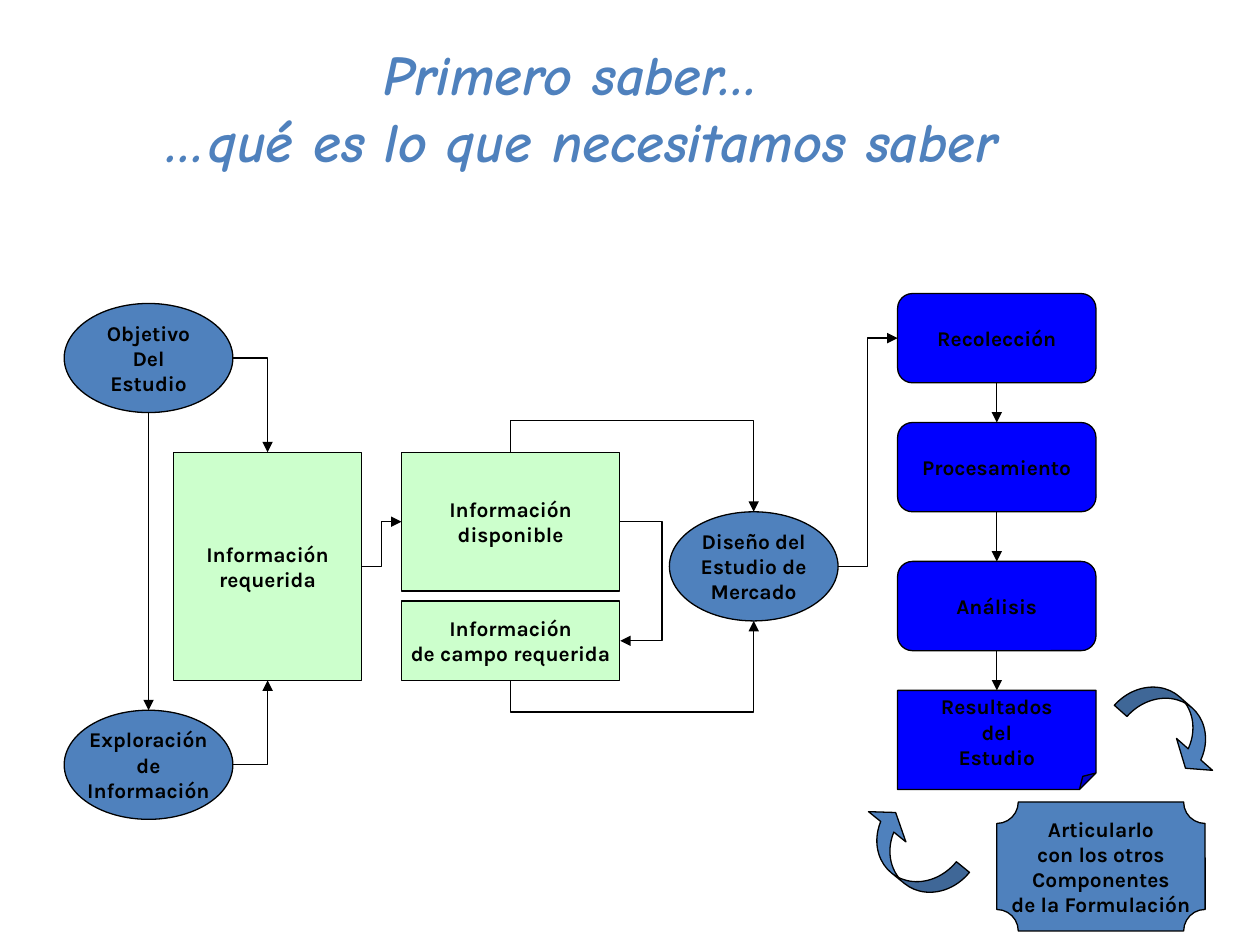
from pptx import Presentation
from pptx.dml.color import RGBColor
from pptx.enum.shapes import MSO_CONNECTOR, MSO_SHAPE
from pptx.enum.text import MSO_ANCHOR, MSO_AUTO_SIZE, PP_ALIGN
from pptx.oxml import parse_xml
from pptx.oxml.ns import nsdecls, qn
from pptx.util import Cm, Inches, Pt

OVAL, RECT, ROUND = MSO_SHAPE.OVAL, MSO_SHAPE.RECTANGLE, MSO_SHAPE.ROUNDED_RECTANGLE
FOLD, PLAQUE, CURVE = MSO_SHAPE.FOLDED_CORNER, MSO_SHAPE.PLAQUE, MSO_SHAPE.CURVED_LEFT_ARROW
LINE, ELBOW = MSO_CONNECTOR.STRAIGHT, MSO_CONNECTOR.ELBOW
TOP, MIDDLE, CENTER = MSO_ANCHOR.TOP, MSO_ANCHOR.MIDDLE, PP_ALIGN.CENTER
GROW, FIXED = MSO_AUTO_SIZE.SHAPE_TO_FIT_TEXT, MSO_AUTO_SIZE.NONE

THEME = dict(blue="4F81BD", mint="CCFFCC", pure="0000FF", ink="000000",
             head="Comic Neue", body="Karla", large=32, small=12, rule=0.75)
UNIT = Cm(0.2)
LEFT, UPPER = Inches(0.51), Inches(2.33)

TITLE = "Primero saber… \v…qué es lo que necesitamos saber"
NODES = {
    "explore": (OVAL, "blue", (0, 42, 17, 11), ["Exploración", "de", "Información"]),
    "goal": (OVAL, "blue", (0, 1, 17, 11), ["Objetivo", "Del", "Estudio"]),
    "need": (RECT, "mint", (11, 16, 19, 23), ["Información", "requerida"]),
    "have": (RECT, "mint", (34, 16, 22, 14), ["Información", "disponible"]),
    "field": (RECT, "mint", (34, 31, 22, 8), ["Información", "de campo requerida"]),
    "design": (OVAL, "blue", (61, 22, 17, 11), ["Diseño del", "Estudio de", "Mercado"]),
    "collect": (ROUND, "pure", (84, 0, 20, 9), ["Recolección"]),
    "process": (ROUND, "pure", (84, 13, 20, 9), ["Procesamiento"]),
    "study": (ROUND, "pure", (84, 27, 20, 9), ["Análisis"]),
    "result": (FOLD, "pure", (84, 40, 20, 10), ["Resultados", "del", "Estudio"]),
    "link": (PLAQUE, "blue", (94, 51.25, 21, 13),
             ["Articularlo", "con los otros", "Componentes", "de la Formulación"]),
}
CHAIN = ["collect", "process", "study", "result"]
BENDS = [
    ("explore", "right", "need", "bottom", dict(form=2)),
    ("goal", "right", "need", "top", dict(form=2)),
    ("need", "right", "have", "left", {}),
    ("have", "right", "field", "right", dict(reach=4.3)),
    ("field", "bottom", "design", "bottom", dict(turn=90, reach=-3.2)),
    ("have", "top", "design", "top", dict(turn=270, reach=-3.2)),
    ("design", "right", "collect", "left", {}),
]
CURVES = [((109.5, 37.6, 5, 12), 311.5), ((82.5, 50.5, 5, 12), 129)]
SIDES = dict(top=(0.5, 0), left=(0, 0.5), bottom=(0.5, 1), right=(1, 0.5))


def tint(name):
    return RGBColor.from_string(THEME[name])


def write(frame, lines, font="body", size="small", color="ink", italic=False,
          anchor=MIDDLE, wrap=False, fit=FIXED):
    frame.word_wrap, frame.auto_size, frame.vertical_anchor = wrap, fit, anchor
    frame.text = "\n".join(lines)
    for para in frame.paragraphs:
        para.alignment = CENTER
        face = para.font
        face.name, face.size = THEME[font], Pt(THEME[size])
        face.bold, face.italic, face.color.rgb = True, italic, tint(color)


def place(x, y):
    return round(LEFT + x * UNIT), round(UPPER + y * UNIT)


def draw(slide, kind, fill, cell):
    x, y, w, h = cell
    shape = slide.shapes.add_shape(kind, *place(x, y), round(w * UNIT), round(h * UNIT))
    shape.shadow.inherit = False
    shape.fill.solid()
    shape.fill.fore_color.rgb = tint(fill)
    shape.line.color.rgb, shape.line.width = tint("ink"), Pt(THEME["rule"])
    return shape


def arrow(slide, kind, start, end):
    wire = slide.shapes.add_connector(kind, *place(*start), *place(*end))
    wire.line.color.rgb, wire.line.width = tint("ink"), Pt(THEME["rule"])
    wire.line._get_or_add_ln().append(parse_xml(f'<a:tailEnd {nsdecls("a")} type="triangle"/>'))
    wire._element.spPr.append(parse_xml(f'<a:effectLst {nsdecls("a")}/>'))
    return wire


def spot(name, side):
    x, y, w, h = NODES[name][2]
    across, down = SIDES[side]
    return x + w * across, y + h * down


def bend(slide, start, end, form=3, turn=0, reach=None):
    mid = [(a + b) / 2 for a, b in zip(start, end)]
    dx, dy = [(b - a) / 2 for a, b in zip(start, end)]
    dx = dx or 0.05
    dx, dy = {0: (dx, dy), 90: (dy, -dx), 270: (-dy, dx)}[turn]
    wire = arrow(slide, ELBOW, (mid[0] - dx, mid[1] - dy), (mid[0] + dx, mid[1] + dy))
    props = wire._element.spPr
    if turn:
        props.find(qn("a:xfrm")).set("rot", str(turn * 60000))
    shape = props.find(qn("a:prstGeom"))
    shape.set("prst", f"bentConnector{form}")
    if reach:
        part = round(reach / abs(2 * dx) * 100000)
        shape.find(qn("a:avLst")).append(
            parse_xml(f'<a:gd {nsdecls("a")} name="adj1" fmla="val {part}"/>'))


def main():
    """Build the market study flow slide."""
    deck = Presentation()
    deck.slide_width, deck.slide_height = Inches(10), Inches(7.5)
    slide = deck.slides.add_slide(deck.slide_layouts[5])
    title = slide.shapes.title
    title.left, title.top = Inches(-0.76), Inches(0.26)
    title.width, title.height = Inches(10.76), Inches(1.17)
    write(title.text_frame, [TITLE], font="head", size="large", color="blue",
          italic=True, anchor=TOP, wrap=True, fit=GROW)

    boxes = {}
    for name, (kind, fill, cell, lines) in NODES.items():
        boxes[name] = draw(slide, kind, fill, cell)
        write(boxes[name].text_frame, lines)
    for first, then in [("goal", "explore"), *zip(CHAIN, CHAIN[1:])]:
        wire = arrow(slide, LINE, spot(first, "bottom"), spot(then, "top"))
        if first in CHAIN:
            wire.begin_connect(boxes[first], 2)
            wire.end_connect(boxes[then], 0)
    for first, out, then, side, form in BENDS:
        bend(slide, spot(first, out), spot(then, side), **form)
    for cell, turn in CURVES:
        shape = draw(slide, CURVE, "blue", cell)
        shape.rotation = turn
        for i, share in enumerate((0.34, 0.97, 0.33)):
            shape.adjustments[i] = share
    deck.save("out.pptx")


if __name__ == "__main__":
    main()
